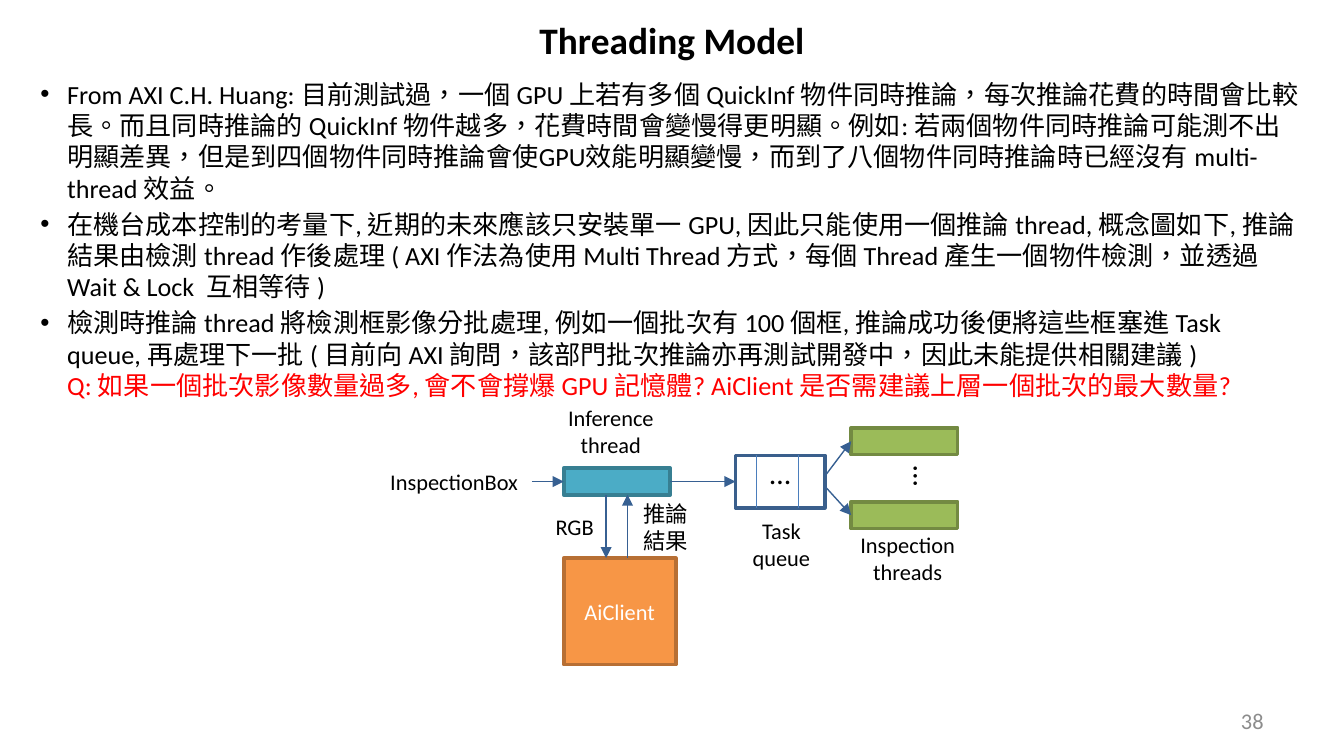
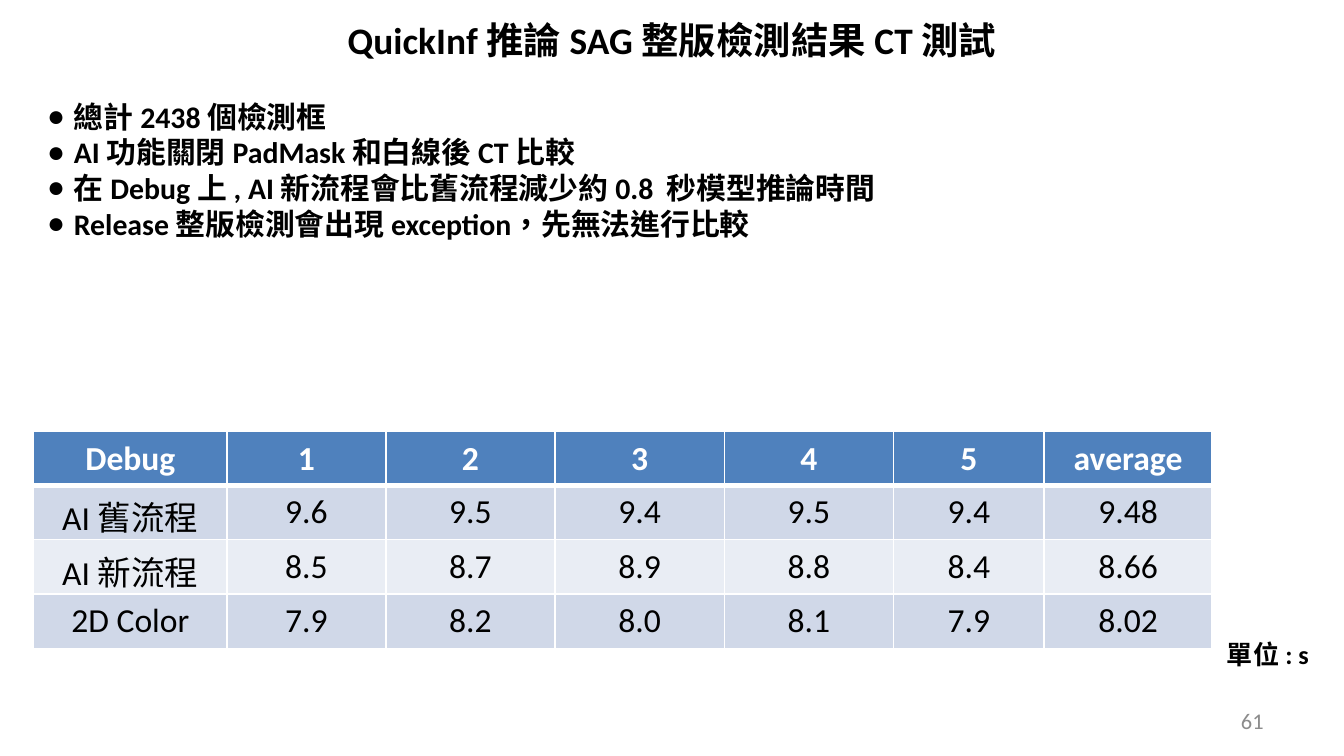
from dataclasses import dataclass
from typing import Optional

from lxml import etree
from pptx import Presentation
from pptx.dml.color import RGBColor
from pptx.enum import lang, shapes, text
from pptx.oxml import ns
from pptx.util import Pt

FONT = "Calibri"
BLACK = RGBColor(0x00, 0x00, 0x00)
WHITE = RGBColor(0xFF, 0xFF, 0xFF)
GREY = RGBColor(0x8C, 0x8C, 0x8C)
RED = RGBColor(0xFF, 0x00, 0x00)
NAVY = RGBColor(0x37, 0x60, 0x92)
QUEUE_EDGE = RGBColor(0x3A, 0x5F, 0x8C)
DIVIDER = RGBColor(0x4B, 0x7E, 0xBC)
TEAL = RGBColor(0x4B, 0xAC, 0xC6)
TEAL_EDGE = RGBColor(0x37, 0x7F, 0x92)
GREEN = RGBColor(0x9B, 0xBB, 0x59)
GREEN_EDGE = RGBColor(0x73, 0x8A, 0x42)
ORANGE = RGBColor(0xF7, 0x96, 0x46)
ORANGE_EDGE = RGBColor(0xB7, 0x6F, 0x34)
HEADER = RGBColor(0x4F, 0x81, 0xBD)
BANDS = (RGBColor(0xD0, 0xD8, 0xE8), RGBColor(0xE9, 0xED, 0xF4))

LEFT, CENTER, RIGHT = text.PP_ALIGN.LEFT, text.PP_ALIGN.CENTER, text.PP_ALIGN.RIGHT
SIDE_LEFT, SIDE_RIGHT = 1, 3
TIGHT = (5.76, 2.88)
INDENT = 14.4
AXIS = 258  # height of the line through the thread and the queue


@dataclass
class Label:
    wording: str
    x: float
    y: float
    w: float
    h: float
    size: float = 12
    align: text.PP_ALIGN = CENTER
    margins: tuple[float, float] = TIGHT
    color: RGBColor = BLACK
    bold: bool = False
    rotation: float = 0
    anchor: text.MSO_ANCHOR = text.MSO_ANCHOR.TOP


@dataclass
class Box:
    x: float
    y: float
    w: float
    h: float
    fill: Optional[RGBColor]
    edge: RGBColor
    wording: str = ""


@dataclass
class Item:
    wording: str
    bullet: str = ""
    before: float = 0
    color: RGBColor = BLACK


# Text helpers
def style(p, size: float, color: RGBColor = BLACK, bold: bool = False,
          align: text.PP_ALIGN = LEFT) -> None:
    p.alignment = align
    for r in p.runs:
        f = r.font
        f.name, f.size, f.bold = FONT, Pt(size), bold
        f.color.rgb = color
        f.language_id = lang.MSO_LANGUAGE_ID.TRADITIONAL_CHINESE


def place(sp, x: float, y: float, w: float, h: float) -> None:
    sp.left, sp.top, sp.width, sp.height = Pt(x), Pt(y), Pt(w), Pt(h)


def add_label(slide, label: Label) -> None:
    sp = slide.shapes.add_textbox(Pt(label.x), Pt(label.y), Pt(label.w), Pt(label.h))
    sp.rotation = label.rotation
    tf = sp.text_frame
    tf.word_wrap = True
    tf.vertical_anchor = label.anchor
    side, end = label.margins
    tf.margin_left = tf.margin_right = Pt(side)
    tf.margin_top = tf.margin_bottom = Pt(end)
    tf.text = label.wording
    style(tf.paragraphs[0], label.size, label.color, label.bold, label.align)


def fill_body(sp, items: list[Item], size: float, bold: bool = False) -> None:
    tf = sp.text_frame
    tf.auto_size = text.MSO_AUTO_SIZE.NONE
    for i, item in enumerate(items):
        p = tf.add_paragraph() if i else tf.paragraphs[0]
        p.text = item.wording
        p.space_before = Pt(item.before)
        ppr = p._p.get_or_add_pPr()
        ppr.set("marL", str(Pt(INDENT)))
        ppr.set("indent", str(-Pt(INDENT) if item.bullet else 0))
        if item.bullet:
            etree.SubElement(ppr, ns.qn("a:buChar"), char=item.bullet)
        else:
            etree.SubElement(ppr, ns.qn("a:buNone"))
        style(p, size, item.color, bold)


# Shape helpers
def add_box(slide, box: Box):
    sp = slide.shapes.add_shape(shapes.MSO_SHAPE.RECTANGLE,
                                Pt(box.x), Pt(box.y), Pt(box.w), Pt(box.h))
    sp.shadow.inherit = False
    if box.fill is None:
        sp.fill.background()
    else:
        sp.fill.solid()
        sp.fill.fore_color.rgb = box.fill
    sp.line.color.rgb = box.edge
    sp.line.width = Pt(2)
    if box.wording:
        sp.text_frame.text = box.wording
        style(sp.text_frame.paragraphs[0], 12, WHITE, align=CENTER)
    return sp


def add_line(slide, x1: float, y1: float, x2: float, y2: float,
             color: RGBColor = NAVY, arrow: bool = True, begin=None, end=None) -> None:
    line = slide.shapes.add_connector(shapes.MSO_CONNECTOR.STRAIGHT,
                                      Pt(x1), Pt(y1), Pt(x2), Pt(y2))
    if begin is not None:
        line.begin_connect(begin, SIDE_RIGHT)
    if end is not None:
        line.end_connect(end, SIDE_LEFT)
    line.line.color.rgb = color
    line.line.width = Pt(0.75)
    sp_pr = line._element.spPr
    if arrow:
        etree.SubElement(sp_pr.find(ns.qn("a:ln")), ns.qn("a:tailEnd"), type="triangle")
    etree.SubElement(sp_pr, ns.qn("a:effectLst"))


def set_borders(cell, top: float, bottom: float) -> None:
    tc_pr = cell._tc.get_or_add_tcPr()
    for side, width in (("L", 1), ("R", 1), ("T", top), ("B", bottom)):
        ln = etree.SubElement(tc_pr, ns.qn(f"a:ln{side}"), w=str(Pt(width)))
        fill = etree.SubElement(ln, ns.qn("a:solidFill"))
        etree.SubElement(fill, ns.qn("a:srgbClr"), val=str(WHITE))


# Shared slide frame: title, body position, page number
def new_slide(prs, title: str, number: str, body: tuple[float, float, float, float]):
    slide = prs.slides.add_slide(prs.slide_layouts[1])
    sp = slide.shapes.title
    place(sp, 36, 4.3, 648, 34)
    tf = sp.text_frame
    tf.auto_size = text.MSO_AUTO_SIZE.NONE
    tf.vertical_anchor = text.MSO_ANCHOR.MIDDLE
    tf.text = title
    style(tf.paragraphs[0], 20, bold=True, align=CENTER)
    place(slide.placeholders[1], *body)
    add_label(slide, Label(number, 516, 375, 168, 21.6, align=RIGHT, margins=(7.2, 3.6),
                           color=GREY, anchor=text.MSO_ANCHOR.MIDDLE))
    return slide


def threading_slide(prs) -> None:
    slide = new_slide(prs, "Threading Model", "38", (14.4, 38.2, 689, 181.4))
    fill_body(slide.placeholders[1], [
        Item("From AXI C.H. Huang: 目前測試過，一個 GPU 上若有多個 QuickInf 物件同時推論，"
             "每次推論花費的時間會比較長。而且同時推論的 QuickInf 物件越多，花費時間會變慢得更明顯。"
             "例如: 若兩個物件同時推論可能測不出明顯差異，但是到四個物件同時推論會使GPU效能明顯變慢，"
             "而到了八個物件同時推論時已經沒有 multi-thread 效益。", "•"),
        Item("在機台成本控制的考量下, 近期的未來應該只安裝單一 GPU, 因此只能使用一個推論 thread, "
             "概念圖如下, 推論結果由檢測 thread 作後處理 ( AXI 作法為使用 Multi Thread 方式，"
             "每個 Thread 產生一個物件檢測，並透過 Wait & Lock  互相等待 )", "•", 2.4),
        Item("檢測時推論 thread 將檢測框影像分批處理, 例如一個批次有 100 個框, "
             "推論成功後便將這些框塞進 Task queue, 再處理下一批 ( 目前向 AXI 詢問，"
             "該部門批次推論亦再測試開發中，因此未能提供相關建議 )", "•", 2.4),
        Item("Q: 如果一個批次影像數量過多, 會不會撐爆 GPU 記憶體? "
             "AiClient 是否需建議上層一個批次的最大數量?", color=RED),
    ], 14)

    # Threads, queue and client
    bar_w, bar_h = 57, 14.4
    thread = add_box(slide, Box(302, AXIS - bar_h / 2, bar_w, bar_h, TEAL, TEAL_EDGE))
    queue = add_box(slide, Box(394, AXIS - 14, 48, 28, None, QUEUE_EDGE))
    add_box(slide, Box(302, 299, 60, 57, ORANGE, ORANGE_EDGE, "AiClient"))
    for x in (405.4, 427.7):
        add_line(slide, x, 272, x, 244, DIVIDER, arrow=False)

    # Arrows
    add_line(slide, 285, AXIS, 302, AXIS, end=thread)
    add_line(slide, 359, AXIS, 394, AXIS, begin=thread, end=queue)
    add_line(slide, 324.7, 265, 324.7, 299)
    add_line(slide, 336.2, 299, 336.2, 265)
    for start, middle in ((255, 236.4), (260.6, 276)):
        worker = add_box(slide, Box(456, middle - bar_h / 2, bar_w, bar_h, GREEN, GREEN_EDGE))
        add_line(slide, 442, start, 456, middle, end=worker)

    # Labels
    for label in (
        Label("InspectionBox", 202.3, 247.7, 82, 20),
        Label("Inference thread", 296, 213.8, 62.6, 34.6),
        Label("RGB", 291, 272, 33.8, 20),
        Label("推論結果", 338.4, 265, 36.7, 34.6),
        Label("Task queue", 397.4, 274.3, 42.5, 34.6, margins=(2.88, 2.88)),
        Label("Inspection threads", 455, 281.5, 62.6, 34),
        Label("…", 405.4, 239.8, 26.6, 26.6, 16, LEFT, (7.2, 3.6)),
        Label("…", 473.8, 242.6, 22.3, 25.2, 16, LEFT, rotation=270),
    ):
        add_label(slide, label)


def timing_slide(prs) -> None:
    slide = new_slide(prs, "QuickInf 推論 SAG 整版檢測結果 CT 測試", "61", (18, 49, 680.4, 85))
    fill_body(slide.placeholders[1], [Item(line, "●") for line in (
        "總計 2438 個檢測框",
        "AI 功能關閉 PadMask 和白線後 CT 比較",
        "在 Debug 上 , AI 新流程會比舊流程減少約 0.8  秒模型推論時間",
        "Release 整版檢測會出現 exception，先無法進行比較",
    )], 16, bold=True)

    # Timing table
    rows = (
        ("Debug", "1", "2", "3", "4", "5", "average"),
        ("AI 舊流程", "9.6", "9.5", "9.4", "9.5", "9.4", "9.48"),
        ("AI 新流程", "8.5", "8.7", "8.9", "8.8", "8.4", "8.66"),
        ("2D Color", "7.9", "8.2", "8.0", "8.1", "7.9", "8.02"),
    )
    widths = (103.7, 85, 90.7, 90.7, 90.7, 80.6, 90)
    heights = (24, 29.2, 29.2, 29.2)
    table = slide.shapes.add_table(len(rows), len(widths), Pt(18), Pt(231.1),
                                   Pt(sum(widths)), Pt(sum(heights))).table
    table.horz_banding = False
    for column, width in zip(table.columns, widths):
        column.width = Pt(width)
    for i, values in enumerate(rows):
        table.rows[i].height = Pt(heights[i])
        head = i == 0
        for j, value in enumerate(values):
            cell = table.cell(i, j)
            set_borders(cell, top=3 if i == 1 else 1, bottom=3 if head else 1)
            cell.fill.solid()
            cell.fill.fore_color.rgb = HEADER if head else BANDS[(i - 1) % 2]
            cell.text_frame.text = value
            style(cell.text_frame.paragraphs[0], 18, WHITE if head else BLACK, head, CENTER)

    add_label(slide, Label("單位 : s", 650.2, 338.4, 59, 24.5, 14, LEFT, (7.2, 3.6), bold=True))


def main() -> None:
    prs = Presentation()
    prs.slide_width, prs.slide_height = Pt(720), Pt(405)
    threading_slide(prs)
    timing_slide(prs)
    prs.save("out.pptx")


if __name__ == "__main__":
    main()
